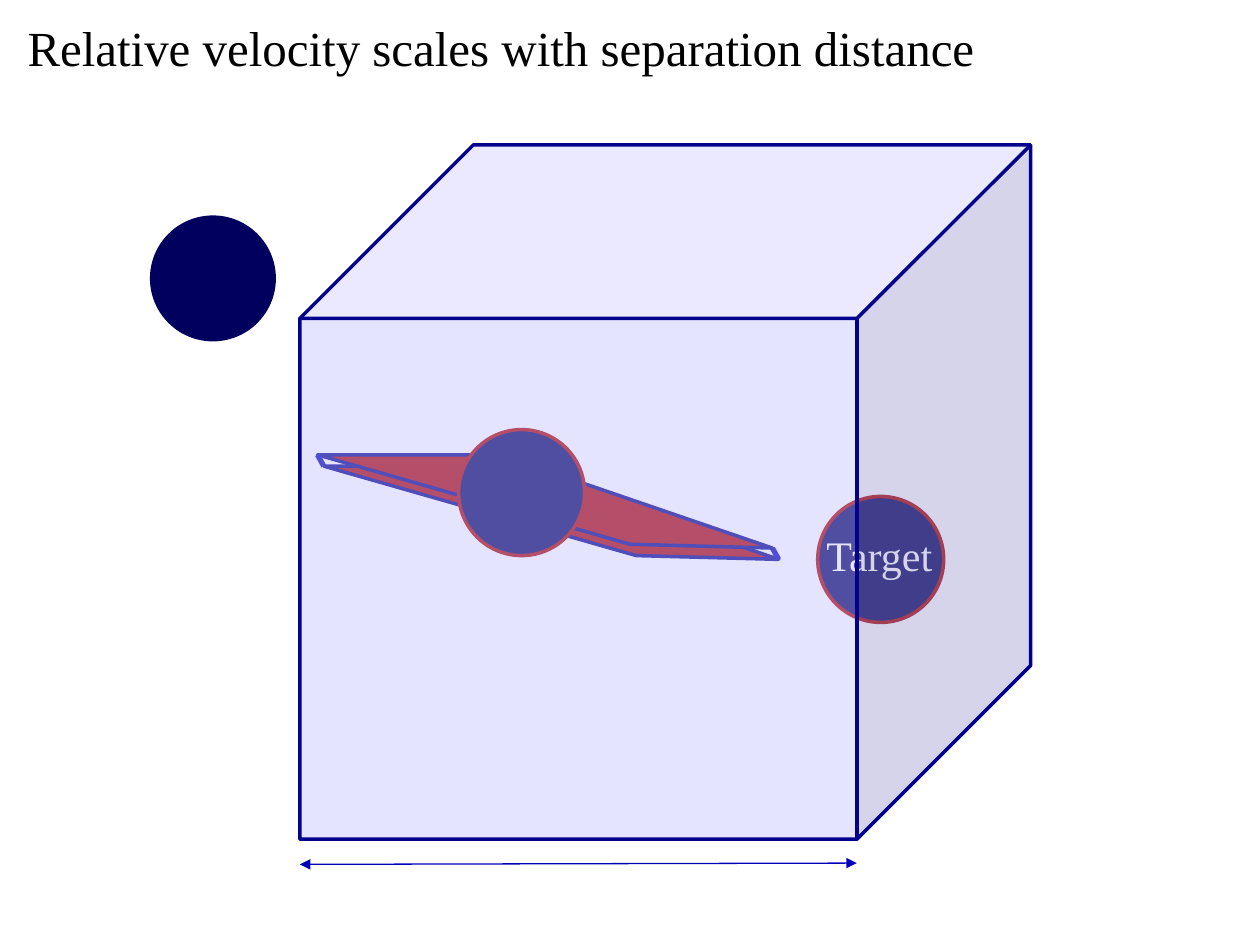
from lxml import etree
from pptx import Presentation
from pptx.dml.color import RGBColor
from pptx.enum.shapes import MSO_CONNECTOR, MSO_SHAPE
from pptx.enum.text import MSO_AUTO_SIZE
from pptx.oxml.ns import qn
from pptx.util import Inches, Pt

BLACK = RGBColor(0x00, 0x00, 0x00)
WHITE = RGBColor(0xFF, 0xFF, 0xFF)
NAVY = RGBColor(0x02, 0x00, 0x5F)
EDGE_BLUE = RGBColor(0x02, 0x00, 0x8D)
LINE_BLUE = RGBColor(0x03, 0x00, 0xBA)
RED = RGBColor(0xAC, 0x00, 0x00)
PALE_BLUE = RGBColor(0xC0, 0xBF, 0xFF)


class Sketch:
    font = "Times New Roman"
    outline = 2

    def __init__(self, slide):
        self.slide = slide

    def paint(self, shape, fill, line=None, opacity=None):
        shape.shadow.inherit = False
        shape.fill.solid()
        shape.fill.fore_color.rgb = fill
        if opacity is not None:
            color = shape.fill._xPr.find(qn("a:solidFill"))[0]
            etree.SubElement(color, qn("a:alpha")).set("val", str(opacity * 1000))
        if line is None:
            shape.line.fill.background()
        else:
            shape.line.color.rgb = line
            shape.line.width = Pt(self.outline)

    def preset(self, kind, left, top, width, height, fill, line=None, opacity=None):
        shape = self.slide.shapes.add_shape(
            kind, Inches(left), Inches(top), Inches(width), Inches(height))
        self.paint(shape, fill, line, opacity)

    def ball(self, left, top, line=None):
        self.preset(MSO_SHAPE.OVAL, left, top, 1, 1, NAVY, line)

    def polygon(self, shapes, points, fill, line):
        corners = [(Inches(x), Inches(y)) for x, y in points]
        builder = shapes.build_freeform(*corners[0])
        builder.add_line_segments(corners[1:], close=True)
        self.paint(builder.convert_to_shape(), fill, line)

    def segment(self, shapes, start, end, width, arrows=False):
        line = shapes.add_connector(
            MSO_CONNECTOR.STRAIGHT, *(Inches(v) for v in (*start, *end)))
        line.line.color.rgb = LINE_BLUE
        line.line.width = Pt(width)
        if arrows:
            for tag in ("a:headEnd", "a:tailEnd"):
                etree.SubElement(line.line._get_or_add_ln(), qn(tag)).set("type", "triangle")
        etree.SubElement(line._element.spPr, qn("a:effectLst"))

    def text(self, words, left, top, width, height, size, color):
        box = self.slide.shapes.add_textbox(
            Inches(left), Inches(top), Inches(width), Inches(height))
        frame = box.text_frame
        frame.word_wrap = False
        frame.auto_size = MSO_AUTO_SIZE.SHAPE_TO_FIT_TEXT
        frame.text = words
        font = frame.paragraphs[0].font
        font.name, font.size, font.color.rgb = self.font, Pt(size), color


def main():
    deck = Presentation()
    deck.slide_width, deck.slide_height = Inches(10), Inches(7.5)
    slide = deck.slides.add_slide(deck.slide_layouts[6])
    sketch = Sketch(slide)

    # Slanted plate: two offset sheets joined at their outer tips
    plate = slide.shapes.add_group_shape().shapes
    upper = [(2.52, 3.61), (5, 4.32), (6.13, 4.35), (3.97, 3.61)]
    lower = [(x + 0.05, y + 0.09) for x, y in upper]
    for sheet in (lower, upper):
        sketch.polygon(plate, sheet, RED, EDGE_BLUE)
    for tip in (0, 2):
        sketch.segment(plate, lower[tip], upper[tip], 3)

    # Target and outside bodies
    sketch.ball(6.49, 3.94, RED)
    sketch.ball(1.19, 1.71)

    # Title and target label
    sketch.text("Relative velocity scales with separation distance",
                0.12, 0.09, 7.79, 0.57, 28, BLACK)
    sketch.text("Target", 6.46, 4.15, 1.05, 0.5, 24, WHITE)

    # Width of the box
    sketch.segment(slide.shapes, (2.38, 6.86), (6.8, 6.85), 0.75, arrows=True)

    # Body on the plate, then the translucent box over everything
    sketch.ball(3.64, 3.41, RED)
    sketch.preset(MSO_SHAPE.CUBE, 2.38, 1.15, 5.8, 5.51, PALE_BLUE, EDGE_BLUE, opacity=41)

    deck.save("out.pptx")


if __name__ == "__main__":
    main()
